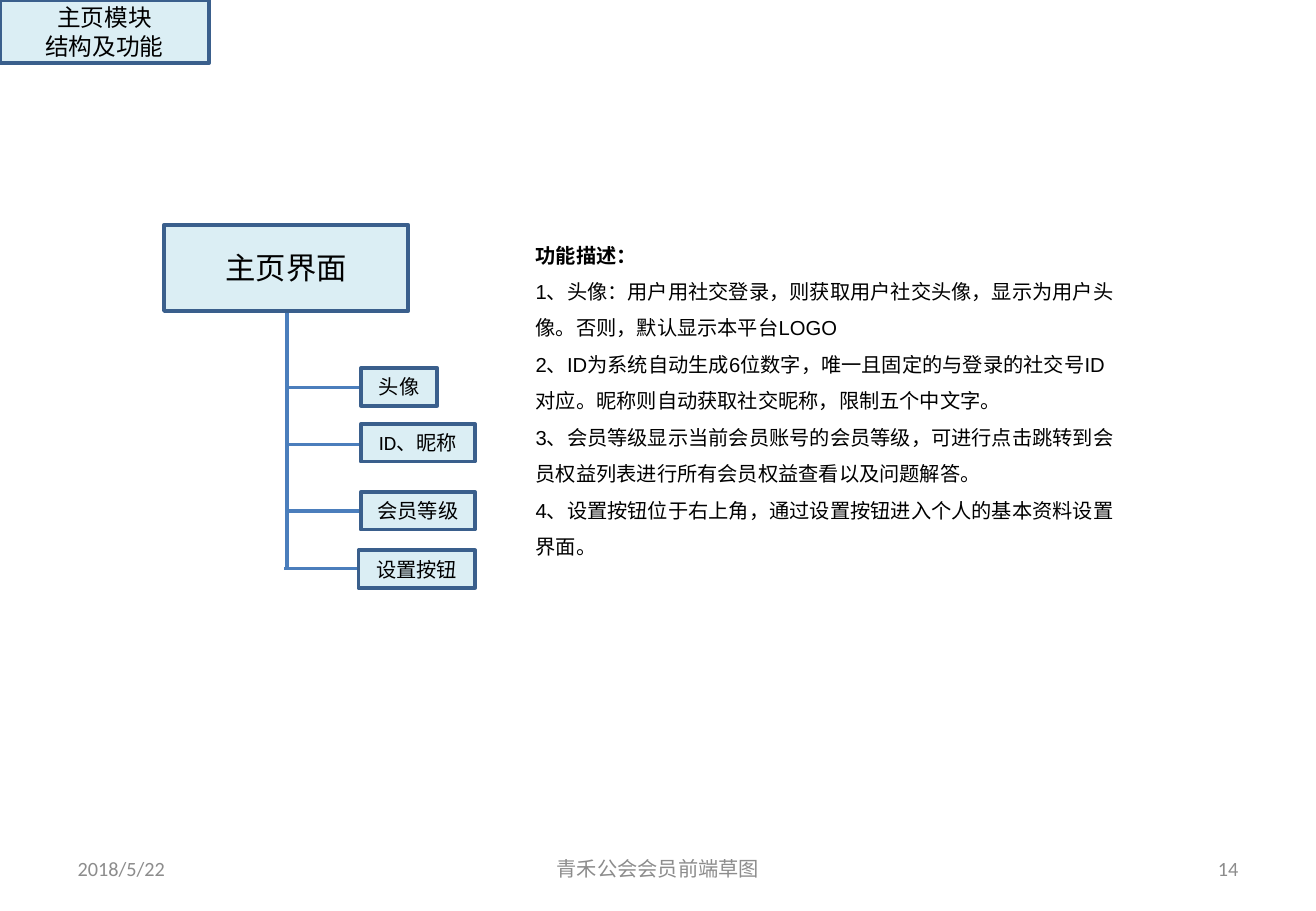
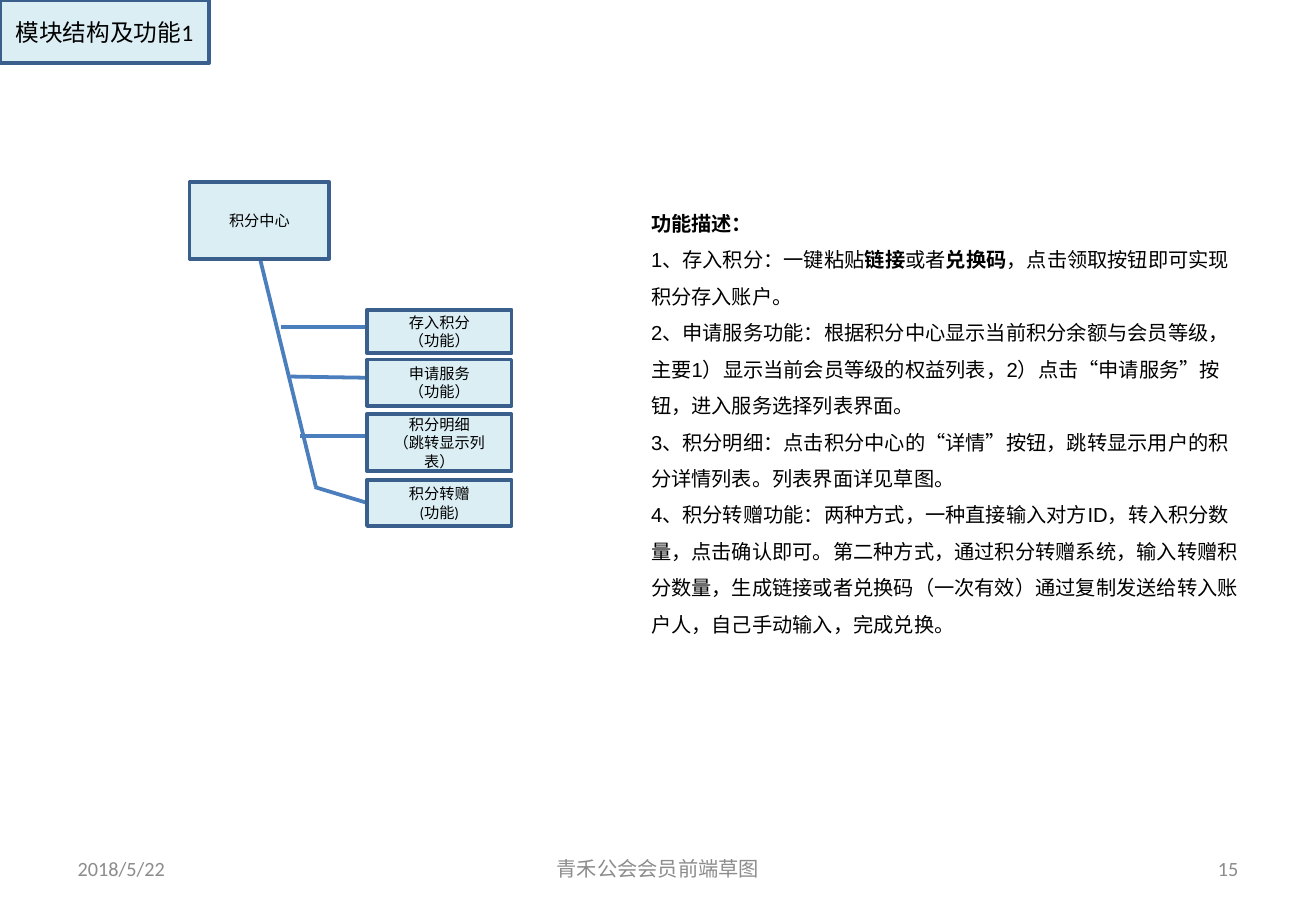
from dataclasses import dataclass
from pptx import Presentation, util as u
from pptx.dml.color import RGBColor as Rgb
from pptx.enum import shapes as es, text as et
from pptx.oxml.ns import qn
from lxml import etree


@dataclass(frozen=True)
class Theme:
    fill: Rgb = Rgb.from_string("DBEEF4")
    edge: Rgb = Rgb.from_string("3A5F8C")
    link: Rgb = Rgb.from_string("4B7EBC")
    ink: Rgb = Rgb.from_string("000000")
    gray: Rgb = Rgb.from_string("8C8C8C")
    font: str = "Calibri"
    prose: str = "Arial"
    tag: int = 14
    body: int = 12
    line: float = 2.25


T = Theme()
LEFT, MID, RIGHT = et.PP_ALIGN.LEFT, et.PP_ALIGN.CENTER, et.PP_ALIGN.RIGHT

# Content: \n starts a paragraph, \v breaks a line, ** marks bold
DATE, NAME, FIRST = "2018/5/22", "青禾公会会员前端草图", 14
HEAD = "功能描述："
PAGES = [
    dict(
        tag="主页模块\n结构及功能",
        root=("主页界面", (1.35, 1.85, 2.01, 0.71), 18),
        stem=(2.36, 2.56, 2.36, 4.68),
        size=12,
        # label, box, branch start, branch end height
        nodes=[
            ("头像", (2.97, 3.03, 0.63, 0.31), (2.36, 3.19), 3.19),
            ("ID、昵称", (2.97, 3.49, 0.94, 0.31), (2.36, 3.66), 3.66),
            ("会员等级", (2.97, 4.05, 0.94, 0.31), (2.36, 4.21), 4.21),
            ("设置按钮", (2.95, 4.53, 0.96, 0.31), (2.34, 4.68), 4.68),
        ],
        notes=(4.31, 1.85, 5.04, 2.83),
        lead=1.5,
        items=[
            "1、头像：用户用社交登录，则获取用户社交头像，显示为用户头像。否则，默认显示本平台LOGO",
            "2、ID为系统自动生成6位数字，唯一且固定的与登录的社交号ID对应。昵称则自动获取社交昵称，限制五个中文字。",
            "3、会员等级显示当前会员账号的会员等级，可进行点击跳转到会员权益列表进行所有会员权益查看以及问题解答。",
            "4、设置按钮位于右上角，通过设置按钮进入个人的基本资料设置界面。",
        ],
    ),
    dict(
        tag="模块结构及功能1",
        root=("积分中心", (1.56, 1.5, 1.15, 0.63), 9),
        stem=(2.14, 2.13, 2.6, 4.01),
        size=9,
        nodes=[
            ("存入积分\n（功能）", (3.02, 2.55, 1.19, 0.36), (2.31, 2.69), 2.69),
            ("申请服务\v（功能）", (3.02, 2.96, 1.19, 0.38), (2.39, 3.1), 3.11),
            ("积分明细\v（跳转显示列表）", (3.02, 3.41, 1.19, 0.47), (2.47, 3.59), 3.59),
            ("积分转赠\n(功能)", (3.02, 3.95, 1.19, 0.38), (2.59, 4.01), 4.14),
        ],
        notes=(5.26, 1.69, 5.04, 3.64),
        lead=1.0,
        items=[
            "1、存入积分：一键粘贴**链接**或者**兑换码**，点击领取按钮即可实现积分存入账户。",
            "2、申请服务功能：根据积分中心显示当前积分余额与会员等级，主要1）显示当前会员等级的权益列表，2）点击“申请服务”按钮，进入服务选择列表界面。",
            "3、积分明细：点击积分中心的“详情”按钮，跳转显示用户的积分详情列表。列表界面详见草图。",
            "4、积分转赠功能：两种方式，一种直接输入对方ID，转入积分数量，点击确认即可。第二种方式，通过积分转赠系统，输入转赠积分数量，生成链接或者兑换码（一次有效）通过复制发送给转入账户人，自己手动输入，完成兑换。",
        ],
    ),
]


def inch(nums):
    return [u.Inches(n) for n in nums]


def style(par, size, color=T.ink, font=T.font, align=MID):
    par.alignment = align
    par.font.size, par.font.name = u.Pt(size), font
    par.font.color.rgb = color


def label(shape, words, size, color=T.ink, align=MID):
    frame = shape.text_frame
    frame.text, frame.word_wrap = words, True
    frame.vertical_anchor = et.MSO_ANCHOR.MIDDLE
    for par in frame.paragraphs:
        style(par, size, color, align=align)


def panel(shape, words, size):
    shape.fill.solid()
    shape.fill.fore_color.rgb = T.fill
    shape.line.color.rgb, shape.line.width = T.edge, u.Pt(T.line)
    label(shape, words, size)


def box(group, words, area, size):
    shape = group.shapes.add_shape(es.MSO_SHAPE.RECTANGLE, *inch(area))
    shape.shadow.inherit = False
    panel(shape, words, size)


def link(group, ends):
    line = group.shapes.add_connector(es.MSO_CONNECTOR.STRAIGHT, *inch(ends))
    line.line.color.rgb, line.line.width = T.link, u.Pt(T.line)
    etree.SubElement(line._element.spPr, qn("a:effectLst"))


def title(slide, words):
    shape = slide.shapes.title
    shape.left, shape.top, shape.width, shape.height = inch((0, 0, 1.72, 0.52))
    panel(shape, words, T.tag)
    shape.text_frame.auto_size = et.MSO_AUTO_SIZE.NONE


def tree(slide, page):
    group = slide.shapes.add_group_shape()
    link(group, page["stem"])
    for _, area, start, end in page["nodes"]:
        link(group, (*start, area[0], end))
    box(group, *page["root"])
    for words, area, *_ in page["nodes"]:
        box(group, words, area, page["size"])


def notes(slide, page):
    frame = slide.shapes.add_textbox(*inch(page["notes"])).text_frame
    frame.word_wrap = True
    frame.auto_size = et.MSO_AUTO_SIZE.SHAPE_TO_FIT_TEXT
    for i, words in enumerate([f"**{HEAD}**", *page["items"]]):
        par = frame.add_paragraph() if i else frame.paragraphs[0]
        style(par, T.body, font=T.prose, align=LEFT)
        par.line_spacing = 1.5 if i else page["lead"]
        for j, part in enumerate(words.split("**")):
            if part:
                run = par.add_run()
                run.text, run.font.bold = part, j % 2 == 1


def footer(slide, number):
    for words, left, width, align in [
        (DATE, 0.54, 2.53, LEFT),
        (str(number), 7.76, 2.53, RIGHT),
        (NAME, 3.7, 3.43, MID),
    ]:
        shape = slide.shapes.add_textbox(*inch((left, 6.95, width, 0.4)))
        label(shape, words, T.body, T.gray, align)


# Build the slides
deck = Presentation()
deck.slide_width, deck.slide_height = inch((10.83, 7.5))
for number, page in enumerate(PAGES, FIRST):
    slide = deck.slides.add_slide(deck.slide_layouts[5])
    title(slide, page["tag"])
    tree(slide, page)
    notes(slide, page)
    footer(slide, number)
deck.save("out.pptx")
